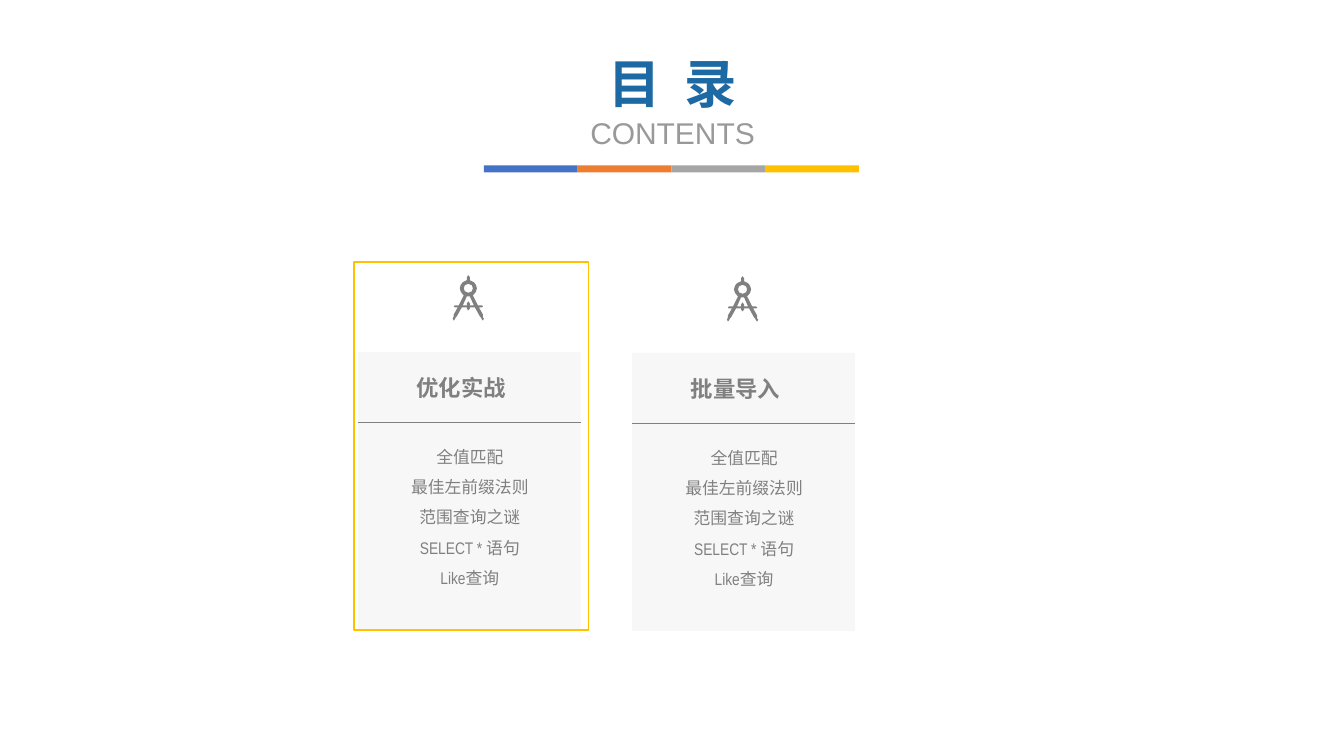
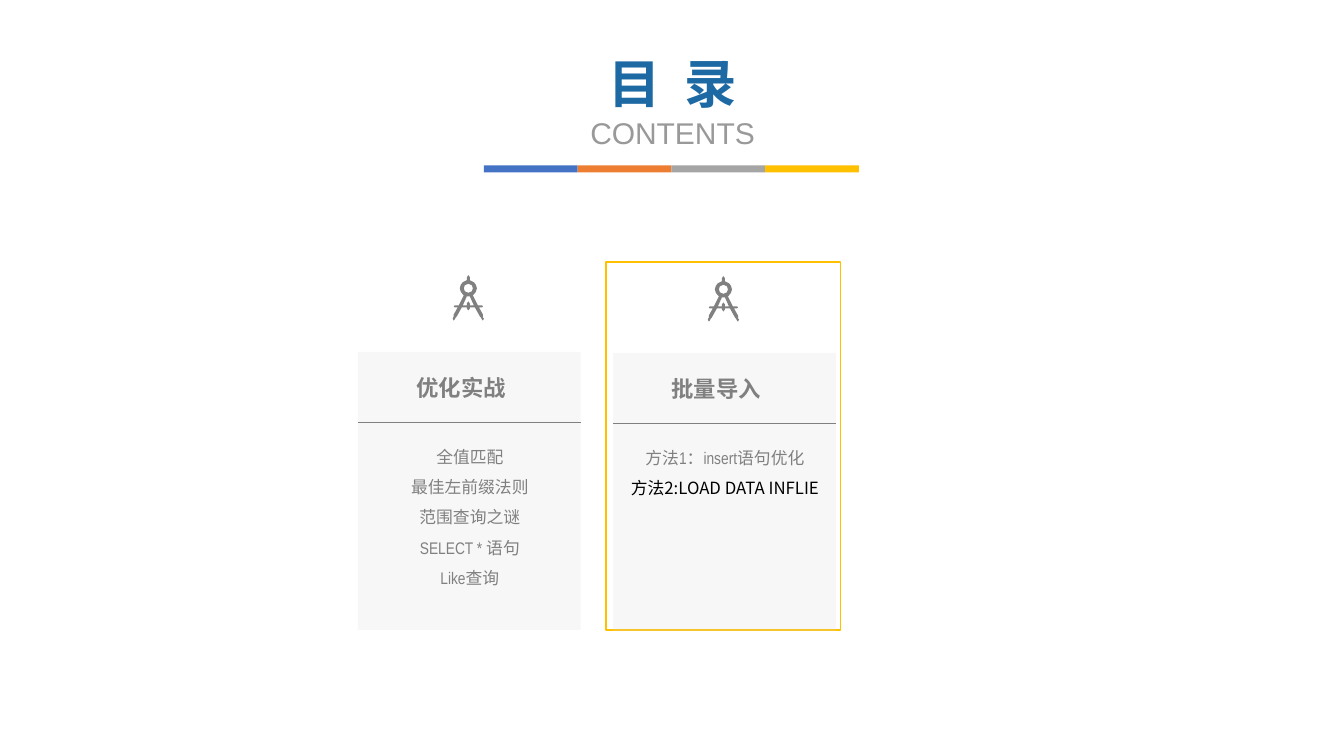
from lxml.etree import SubElement
from pptx import Presentation
from pptx.dml.color import RGBColor
from pptx.enum.shapes import MSO_CONNECTOR as Connector, MSO_SHAPE as Shape
from pptx.enum.text import MSO_ANCHOR as Anchor, MSO_AUTO_SIZE as AutoSize, PP_ALIGN as Align
from pptx.oxml.ns import qn
from pptx.util import Inches, Pt

BLUE = RGBColor(0x44, 0x72, 0xC4)
ORANGE = RGBColor(0xED, 0x7D, 0x31)
SILVER = RGBColor(0xA5, 0xA5, 0xA5)
GOLD = RGBColor(0xFF, 0xC0, 0x00)
TITLE_BLUE = RGBColor(0x1D, 0x69, 0xA3)
SUBTITLE_GRAY = RGBColor(0x99, 0x99, 0x99)
GRAY = RGBColor(0x80, 0x80, 0x80)
PANEL_GRAY = RGBColor(0xD9, 0xD9, 0xD9)
BLACK = RGBColor(0x00, 0x00, 0x00)

NARROW = "Arial Narrow"
CHINESE = "Noto Sans CJK SC"

# Drawing compass in hundredths of an inch: outline, gap between the legs, ring hole
COMPASS = [
    [(2, 32), (1, 31), (2, 30), (6, 30), (11, 20), (10, 19), (8, 16.5), (7, 13),
     (8, 9.5), (10, 7), (14, 5), (14, 2), (15.5, 0), (17, 2), (17, 5), (21, 7),
     (23, 9.5), (24, 13), (23, 16.5), (21, 19), (20, 20), (25, 30), (29, 30),
     (30, 31), (29, 32), (26, 32), (30, 39), (30, 42), (31, 43), (30, 45),
     (29, 44), (28, 42), (27, 41), (22, 32), (17, 32), (17, 33), (15.5, 35),
     (14, 33), (14, 32), (9, 32), (4, 41), (3, 42), (2, 44), (1, 45), (0, 43),
     (1, 41), (1, 39), (5, 32)],
    [(14, 30), (14, 28), (15.5, 26), (17, 28), (17, 30), (21, 30), (17, 21),
     (14, 21), (10, 30)],
    [(19, 10), (15.5, 8.5), (12, 10), (11, 13), (12, 16), (15.5, 17.5), (19, 16),
     (20, 13)],
]

TOPICS = ["全值匹配", "最佳左前缀法则", "范围查询之谜", "SELECT * 语句", "Like查询"]
METHODS = ["方法1：insert语句优化", "方法2:LOAD DATA INFLIE"]
SHIFTED_TOPIC = TOPICS[1]
BLACK_METHOD = METHODS[1]

# Per slide: left edge of the highlight frame, then left, drop, heading and list of each column
PRACTICE = (3.55, 0, "优化实战", TOPICS)
SLIDES = [
    (3.51, [PRACTICE, (6.27, 0.01, "批量导入", TOPICS)]),
    (6.01, [PRACTICE, (6.08, 0.01, "批量导入", METHODS)]),
]


def place_text(box, left, top, width, height, lines):
    """Move a placeholder to the front and fill it with centred, unbulleted lines."""
    box.left, box.top = Inches(left), Inches(top)
    box.width, box.height = Inches(width), Inches(height)
    box.element.getparent().append(box.element)
    frame = box.text_frame
    frame.text = "\n".join(lines)
    frame.auto_size = AutoSize.NONE
    frame.vertical_anchor = Anchor.TOP
    for para in frame.paragraphs:
        para.alignment = Align.CENTER
        para.space_before = Pt(0)
        properties = para._p.get_or_add_pPr()
        properties.set("marL", "0")
        properties.set("indent", "0")
        SubElement(properties, qn("a:buNone"))
    return frame


def style(para, size, color, font=NARROW, bold=False):
    for span in para.runs:
        span.font.size, span.font.bold = Pt(size), bold
        span.font.name = font
        span.font.color.rgb = color
        SubElement(span.font._element, qn("a:ea")).set("typeface", CHINESE)


deck = Presentation()
deck.slide_width, deck.slide_height = Inches(13.33), Inches(7.5)
comparison = deck.slide_layouts[4]

for frame_left, columns in SLIDES:
    page = deck.slides.add_slide(comparison)
    title, *column_boxes = page.placeholders

    # Title and four-colour bar
    title_frame = place_text(title, 5.59, 0.46, 2.16, 1.09, ["目  录", "CONTENTS"])
    style(title_frame.paragraphs[0], 37.4, TITLE_BLUE, bold=True)
    style(title_frame.paragraphs[1], 21.4, SUBTITLE_GRAY, font="Arial")
    bar_width = 0.93
    for index, color in enumerate([BLUE, ORANGE, SILVER, GOLD]):
        bar = page.shapes.add_shape(Shape.RECTANGLE, Inches(4.8 + index * bar_width),
                                    Inches(1.64), Inches(bar_width), Inches(0.07))
        bar.shadow.inherit = False
        bar.fill.solid()
        bar.fill.fore_color.rgb = color
        bar.line.fill.background()

    # Frame around the current column
    highlight = page.shapes.add_shape(Shape.RECTANGLE, Inches(frame_left), Inches(2.6),
                                      Inches(2.33), Inches(3.65))
    highlight.shadow.inherit = False
    highlight.fill.background()
    highlight.line.color.rgb = GOLD
    highlight.line.width = Pt(1)

    for index, (left, drop, heading, items) in enumerate(columns):
        # Compass icon
        start, *rest = [(x * 10, y * 10) for x, y in COMPASS[0]]
        builder = page.shapes.build_freeform(*start, scale=Inches(1) / 1000)
        builder.add_line_segments(rest)
        for hole in COMPASS[1:]:
            start, *rest = [(x * 10, y * 10) for x, y in hole]
            builder.move_to(*start)
            builder.add_line_segments(rest)
        icon = builder.convert_to_shape(Inches(left + 0.94), Inches(2.73 + drop))
        icon.shadow.inherit = False
        icon.fill.solid()
        icon.fill.fore_color.rgb = GRAY
        icon.line.fill.background()

        # Translucent panel with its rule
        panel = page.shapes.add_shape(Shape.RECTANGLE, Inches(left), Inches(3.49 + drop),
                                      Inches(2.21), Inches(2.76))
        panel.shadow.inherit = False
        panel.fill.solid()
        panel.fill.fore_color.rgb = PANEL_GRAY
        panel_color = panel.element.spPr.find(qn("a:solidFill"))[0]
        SubElement(panel_color, qn("a:alpha")).set("val", "20000")
        panel.line.fill.background()
        rule_top = Inches(4.19 + drop)
        rule = page.shapes.add_connector(Connector.STRAIGHT, Inches(left), rule_top,
                                         Inches(left + 2.21), rule_top)
        rule.line.color.rgb = GRAY
        rule.line.width = Pt(0.5)
        SubElement(rule.element.spPr, qn("a:effectLst"))

        # Heading and list
        heading_box, list_box = column_boxes[2 * index:2 * index + 2]
        heading_frame = place_text(heading_box, left + 0.48, 3.66 + drop, 1.09, 0.37, [heading])
        heading_frame.word_wrap = False
        style(heading_frame.paragraphs[0], 16, GRAY, bold=True)
        list_frame = place_text(list_box, left, 4.28 + drop, 2.22, 1.61, items)
        for para in list_frame.paragraphs:
            para.line_spacing = 1.5
            if para.text == BLACK_METHOD:
                style(para, 12, BLACK, font=CHINESE)
            else:
                style(para, 12, GRAY)
            if para.text == SHIFTED_TOPIC:
                para._p.pPr.set("indent", str(Inches(-0.16)))

deck.save("out.pptx")
